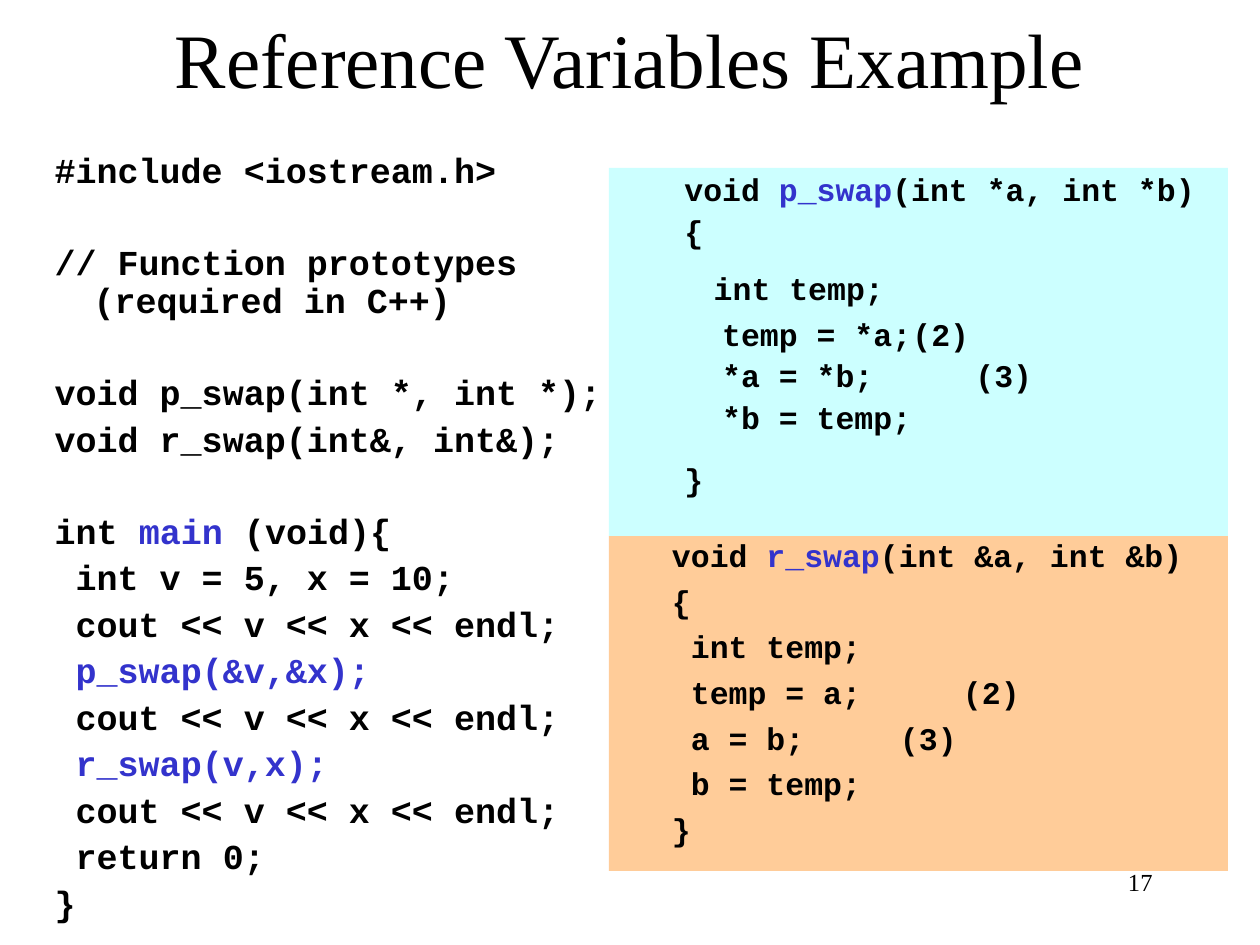
from dataclasses import dataclass
from lxml.etree import SubElement
from pptx import Presentation
from pptx.dml.color import RGBColor
from pptx.enum.shapes import MSO_SHAPE
from pptx.enum.text import MSO_ANCHOR, MSO_AUTO_SIZE, PP_ALIGN
from pptx.oxml.ns import qn
from pptx.util import Pt

SCALE = 914400 / 126  # EMU in one px


@dataclass(frozen=True)
class Theme:
    ink: str = "000000"
    name: str = "3333CC"
    pointer: str = "CCFFFF"
    refer: str = "FFCC99"
    serif: str = "Times New Roman"
    mono: str = "Courier New"
    title: int = 44
    body: int = 20
    code: int = 18
    wide: int = 28
    number: int = 14


THEME = Theme()

TITLE = "Reference Variables Example"
NUMBER = "17"

# Each line is (space before in points, parts); odd parts are highlighted names.
MAIN = [
    (5, ["#include <iostream.h>"]),
    (31, ["// Function prototypes (required in C++)"]),
    (31, ["void p_swap(int *, int *);"]),
    (5, ["void r_swap(int&, int&);"]),
    (31, ["int ", "main", " (void){"]),
    (5, [" int v = 5, x = 10;"]),
    (5, [" cout << v << x << endl;"]),
    (5, [" ", "p_swap(&v,&x);"]),
    (5, [" cout << v << x << endl;"]),
    (5, [" ", "r_swap(v,x);"]),
    (5, [" cout << v << x << endl;"]),
    (5, [" return 0;"]),
    (5, ["}"]),
]
POINTER = [
    (4.5, ["void ", "p_swap", "(int *a, int *b)"]),
    (4.5, ["{"]),
    (4.5, [" ", "", "int temp;"]),
    (4.5, ["  temp = *a;\t(2)"]),
    (4.5, ["  *a = *b;\t\t(3)"]),
    (4.5, ["  *b = temp;"]),
    (15.5, ["}"]),
]
REFER = [
    (4.5, ["void ", "r_swap", "(int &a, int &b)"]),
    (4.5, ["{"]),
    (4.5, [" int temp;"]),
    (4.5, [" temp = a;\t\t(2)"]),
    (4.5, [" a = b;\t\t(3)"]),
    (4.5, [" b = temp;"]),
    (4.5, ["}"]),
]


def px(n):
    return round(n * SCALE)


def place(shape, *box):
    shape.left, shape.top, shape.width, shape.height = map(px, box)


def style(run, face, size, color=THEME.ink, bold=False):
    font = run.font
    font.name, font.size, font.bold = face, Pt(size), bold
    font.color.rgb = RGBColor.from_string(color)


def indent(para):
    """Give a code line its hanging indent, no bullet and inch-wide tabs."""
    props = para._p.get_or_add_pPr()
    props.set("marL", str(px(102)))
    props.set("indent", str(px(-39)))
    SubElement(props, qn("a:buNone"))
    tabs = SubElement(props, qn("a:tabLst"))
    for inch in range(8):
        SubElement(tabs, qn("a:tab"), pos=str(px(126 * inch)), algn="l")


def write(frame, lines, size, lead):
    frame.word_wrap = True
    frame.auto_size = MSO_AUTO_SIZE.NONE
    frame.vertical_anchor = MSO_ANCHOR.TOP
    for i, (gap, parts) in enumerate(lines):
        para = frame.add_paragraph() if i else frame.paragraphs[0]
        para.level, para.alignment = 1, PP_ALIGN.LEFT
        para.line_spacing, para.space_before = lead, Pt(gap)
        indent(para)
        for j, part in enumerate(parts):
            if not part:
                continue
            run = para.add_run()
            run.text = part
            color = THEME.name if j % 2 else THEME.ink
            style(run, THEME.mono, size, color, bold=True)


def panel(slide, box, fill, lines, lead):
    shape = slide.shapes.add_shape(MSO_SHAPE.RECTANGLE, *map(px, box))
    shape.shadow.inherit = False
    shape.fill.solid()
    shape.fill.fore_color.rgb = RGBColor.from_string(fill)
    shape.line.fill.background()
    write(shape.text_frame, lines, THEME.code, lead)
    return shape.text_frame


def label(frame, text, size, align):
    frame.word_wrap = True
    frame.auto_size = MSO_AUTO_SIZE.NONE
    frame.text = text
    para = frame.paragraphs[0]
    para.alignment = align
    style(para.runs[0], THEME.serif, size)


def main():
    deck = Presentation()
    deck.slide_width, deck.slide_height = px(1260), px(945)
    slide = deck.slides.add_slide(deck.slide_layouts[1])

    title, body = slide.placeholders
    place(title, 0, 10, 1260, 95)
    label(title.text_frame, TITLE, THEME.title, PP_ALIGN.CENTER)
    title.text_frame.vertical_anchor = MSO_ANCHOR.MIDDLE
    place(body, -21, 147, 640, 788)
    write(body.text_frame, MAIN, THEME.body, 0.9)

    left, top, width, split, base = 609, 168, 619, 536, 871
    frame = panel(slide, (left, split, width, base - split),
                  THEME.refer, REFER, 1.0)
    frame.margin_left = frame.margin_right = 0
    frame.margin_top = frame.margin_bottom = 0
    frame = panel(slide, (left, top, width, split - top),
                  THEME.pointer, POINTER, 0.9)
    frame.paragraphs[2].runs[0].font.size = Pt(THEME.wide)

    number = slide.shapes.add_textbox(*map(px, (903, 861, 262, 63)))
    label(number.text_frame, NUMBER, THEME.number, PP_ALIGN.RIGHT)
    deck.save("out.pptx")


if __name__ == "__main__":
    main()
